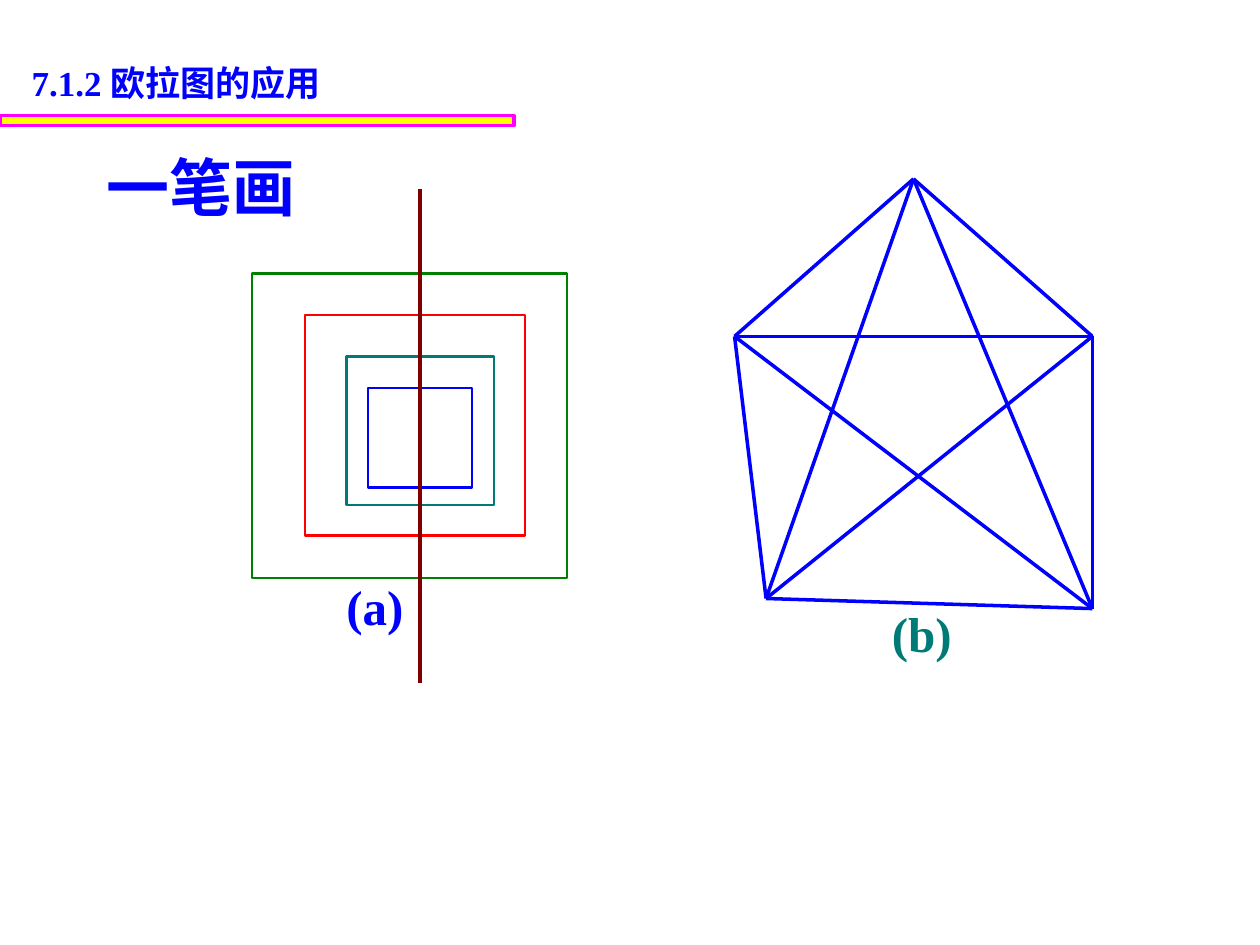
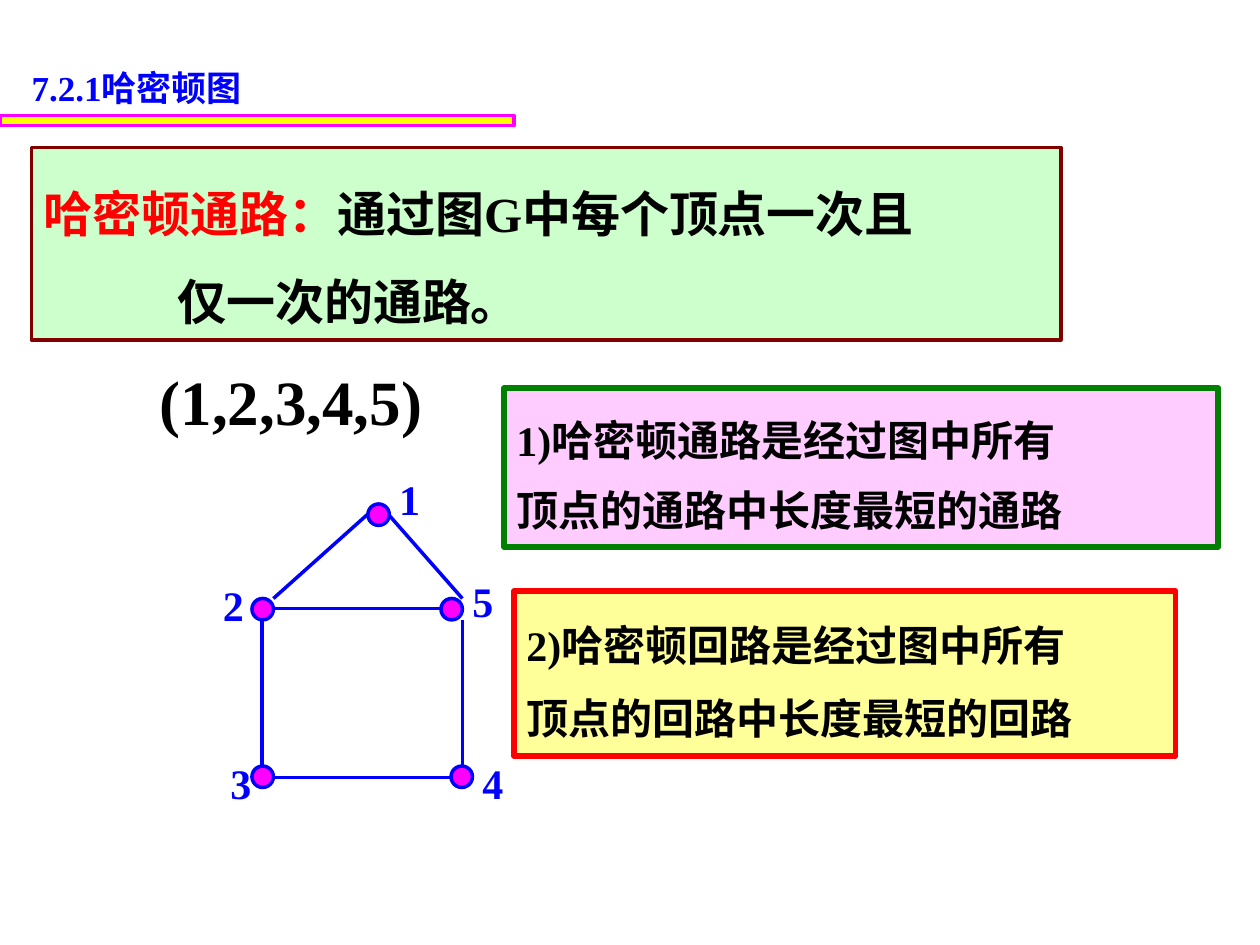
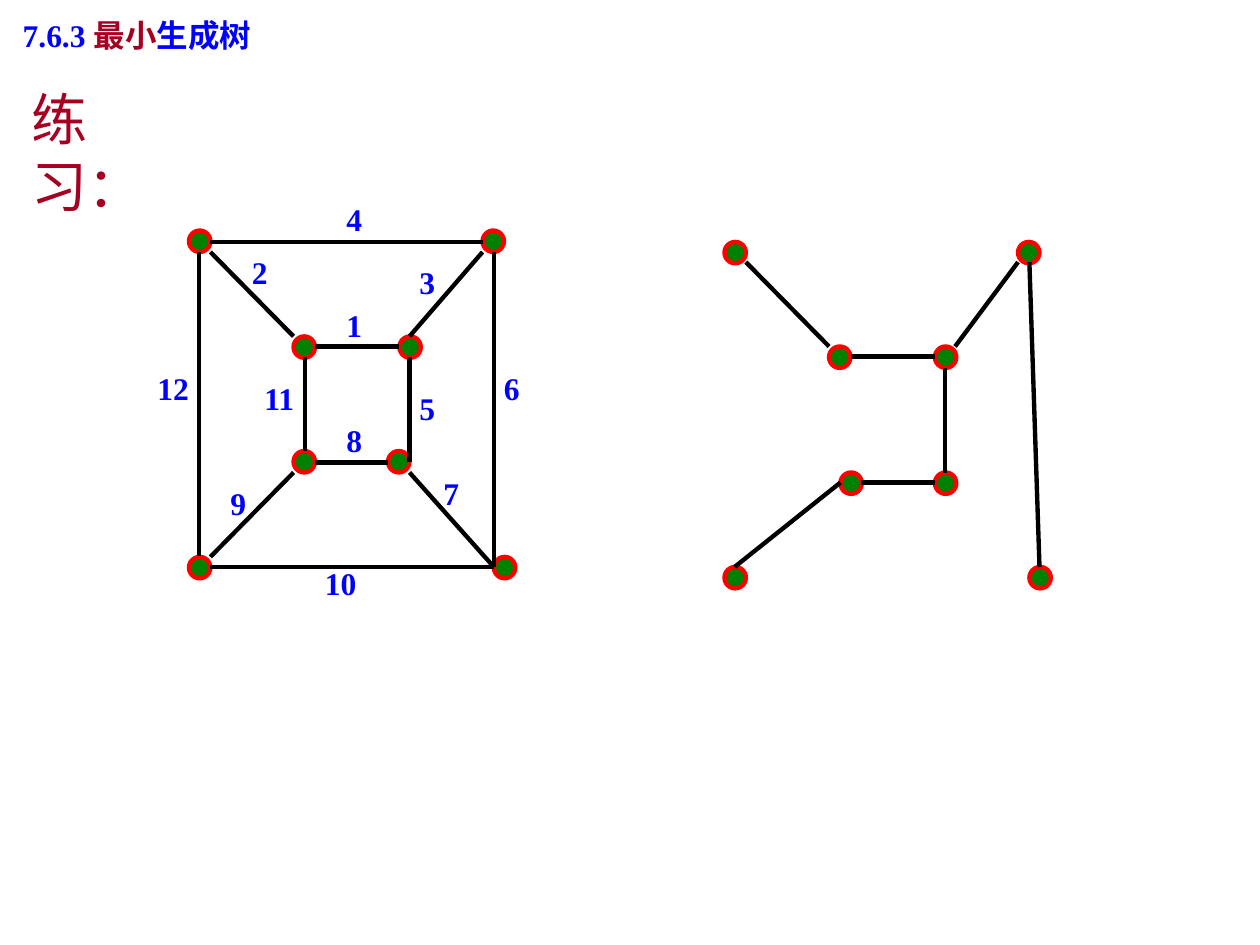
from itertools import combinations

from pptx import Presentation
from pptx.dml.color import RGBColor
from pptx.enum.shapes import MSO_CONNECTOR as LINE, MSO_SHAPE as SHAPE
from pptx.enum.text import MSO_ANCHOR as ANCHOR, MSO_AUTO_SIZE as FIT, PP_ALIGN as ALIGN
from pptx.oxml.ns import qn
from pptx.util import Inches, Pt

HUES = {
    "blue": "0000FF", "red": "FF0000", "green": "008000", "teal": "007A77",
    "maroon": "800000", "wine": "A50021", "black": "000000", "yellow": "FFFF00",
    "magenta": "FF00FF", "mint": "CCFFCC", "pink": "FFCCFF", "cream": "FFFF99",
}
ROMAN, SANS, HAN = "Times New Roman", "Arial", "Noto Sans CJK SC"
DOT = 0.17

# Slide 1: one-stroke drawing. Frames: box, line colour
FRAMES = [
    ((2, 2.17, 2.5, 2.42), "green"),
    ((2.42, 2.5, 1.75, 1.75), "red"),
    ((2.75, 2.83, 1.17, 1.18), "teal"),
    ((2.92, 3.08, 0.83, 0.79), "blue"),
]
AXIS = (3.33, 1.5, 3.33, 5.42)
CORNERS = [(7.25, 1.42), (8.67, 2.67), (8.67, 4.83), (6.08, 4.75), (5.83, 2.67)]

# Slide 2: Hamilton graph. Panels: box, fill, line, width, spacing, paragraphs of (indent, runs)
PANELS = [
    ((0.25, 1.17, 8.17, 1.53), "mint", "maroon", 2, 1.5, [
        (0, [("哈密顿通路：", HAN, "red"), ("通过图", HAN, "black"),
             ("G", ROMAN, "black"), ("中每个顶点一次且", HAN, "black")]),
        (1.06, [("仅一次的通路。", HAN, "black")])]),
    ((4, 3.08, 5.67, 1.26), "pink", "green", 3.25, 1.4, [
        (0, [("1)", ROMAN, "black"), ("哈密顿通路是经过图中所有", SANS, "black")]),
        (0, [("顶点的通路中长度最短的通路", SANS, "black")])]),
    ((4.08, 4.69, 5.25, 1.31), "cream", "red", 3.25, 1.45, [
        (0, [("2)", ROMAN, "black"), ("哈密顿回路是经过图中所有", SANS, "black")]),
        (0, [("顶点的回路中长度最短的回路", SANS, "black")])]),
]
PANEL_SIZES = [28, 24, 24]
HOUSE_DOTS = [(2.92, 4), (2, 4.75), (3.5, 4.75), (2, 6.08), (3.58, 6.08)]
HOUSE_EDGES = [
    (2.17, 4.75, 2.92, 4.08), (2.08, 4.92, 2.08, 6.08), (2.17, 6.17, 3.58, 6.17),
    (3.67, 4.92, 3.67, 6.08), (2.17, 4.83, 3.5, 4.83), (3.08, 4.08, 3.67, 4.75),
]
HOUSE_TAGS = [("1", 3.07, 3.71), ("2", 1.67, 4.55), ("3", 1.73, 5.96),
              ("4", 3.73, 5.96), ("5", 3.65, 4.52)]

# Slide 3: weighted graph and its minimum spanning tree
NET_DOTS = [(1.5, 1.83), (3.83, 1.83), (1.5, 4.42), (3.92, 4.42),
            (2.33, 2.67), (3.17, 2.67), (2.33, 3.58), (3.08, 3.58)]
NET_EDGES = [
    (1.58, 2, 1.58, 4.41), (1.67, 4.5, 3.92, 4.5), (1.67, 1.92, 3.83, 1.92),
    (3.92, 2, 3.92, 4.5), (2.5, 2.75, 3.17, 2.75), (2.42, 2.83, 2.42, 3.58),
    (2.5, 3.67, 3.08, 3.67), (3.25, 2.83, 3.25, 3.67), (1.67, 2, 2.33, 2.67),
    (3.25, 2.67, 3.83, 2), (1.67, 4.42, 2.33, 3.75), (3.25, 3.75, 3.92, 4.5),
]
WEIGHTS = [
    ("4", 2.65, 1.54), ("12", 1.15, 2.88), ("10", 2.48, 4.43), ("6", 3.9, 2.88),
    ("1", 2.65, 2.38), ("5", 3.23, 3.04), ("8", 2.65, 3.29), ("7", 3.42, 3.71),
    ("11", 2, 2.96), ("9", 1.73, 3.79), ("2", 1.9, 1.96), ("3", 3.23, 2.04),
]
TREE_DOTS = [(5.75, 1.92), (8.08, 1.92), (5.75, 4.5), (8.17, 4.5),
             (6.58, 2.75), (7.42, 2.75), (6.67, 3.75), (7.42, 3.75)]
TREE_EDGES = [
    (6.75, 2.83, 7.42, 2.83), (6.58, 2.75, 5.92, 2.08), (7.58, 2.75, 8.08, 2.08),
    (7.5, 2.92, 7.5, 3.75), (8.17, 2.08, 8.25, 4.5), (6.83, 3.83, 7.42, 3.83),
    (6.67, 3.83, 5.83, 4.5),
]


def rgb(hue):
    return RGBColor.from_string(HUES[hue])


def inch(nums):
    return [Inches(n) for n in nums]


def write(para, runs, size, bold=True):
    """Add (text, font, colour) runs to a paragraph."""
    para.alignment = ALIGN.LEFT
    for text, face, hue in runs:
        run = para.add_run()
        run.text = text
        font = run.font
        font.size, font.bold, font.name = Pt(size), bold, face
        font.color.rgb = rgb(hue)


def head(prs, box, runs, size):
    """Start a slide with its section title."""
    slide = prs.slides.add_slide(prs.slide_layouts[5])
    title = slide.shapes.title
    title.left, title.top, title.width, title.height = inch(box)
    frame = title.text_frame
    frame.auto_size, frame.vertical_anchor = FIT.NONE, ANCHOR.MIDDLE
    write(frame.paragraphs[0], runs, size)
    return slide


def shape(slide, kind, box, line, width, fill=None):
    item = slide.shapes.add_shape(kind, *inch(box))
    item.shadow.inherit = False
    if fill:
        item.fill.solid()
        item.fill.fore_color.rgb = rgb(fill)
    else:
        item.fill.background()
    item.line.color.rgb, item.line.width = rgb(line), Pt(width)
    return item


def band(slide):
    shape(slide, SHAPE.RECTANGLE, (0, 0.92, 4.08, 0.08), "magenta", 1.75, "yellow")


def edge(slide, ends, hue, width):
    item = slide.shapes.add_connector(LINE.STRAIGHT, *inch(ends))
    item.line.color.rgb, item.line.width = rgb(hue), Pt(width)
    props = item._element.spPr
    props.append(props.makeelement(qn("a:effectLst"), {}))


def graph(slide, dots, edges, fill, ring, ink, width):
    for x, y in dots:
        shape(slide, SHAPE.OVAL, (x, y, DOT, DOT), ring, width, fill)
    for ends in edges:
        edge(slide, ends, ink, width)


def label(slide, box, text, size, hue="blue", face=ROMAN, bold=True, wrap=False):
    frame = slide.shapes.add_textbox(*inch(box)).text_frame
    frame.word_wrap = wrap
    write(frame.paragraphs[0], [(text, face, hue)], size, bold)


def panel(slide, box, fill, line, width, gap, paras, size):
    frame = shape(slide, SHAPE.RECTANGLE, box, line, width, fill).text_frame
    frame.word_wrap, frame.vertical_anchor = True, ANCHOR.TOP
    for i, (indent, runs) in enumerate(paras):
        para = frame.add_paragraph() if i else frame.paragraphs[0]
        para.line_spacing = gap
        if indent:
            para._p.get_or_add_pPr().set("marL", str(Inches(indent)))
        write(para, runs, size)


def stroke(prs):
    slide = head(prs, (0.15, 0.44, 3.02, 0.43), [("7.1.2 欧拉图的应用", ROMAN, "blue")], 20)
    band(slide)
    label(slide, (0.75, 1.13, 3.5, 0.7), "一笔画", 36, face=SANS, wrap=True)
    for box, hue in FRAMES:
        shape(slide, SHAPE.RECTANGLE, box, hue, 1.25)
    edge(slide, AXIS, "maroon", 2.25)
    label(slide, (2.65, 4.53, 0.65, 0.57), "(a)", 28)
    # Every pair of corners is joined
    for a, b in combinations(CORNERS, 2):
        edge(slide, a + b, "blue", 2)
    label(slide, (6.98, 4.74, 0.68, 0.57), "(b)", 28, "teal")


def house(prs):
    slide = head(prs, (0.15, 0.48, 2.68, 0.43), [("7.2.1哈密顿图", ROMAN, "blue")], 20)
    band(slide)
    graph(slide, HOUSE_DOTS, HOUSE_EDGES, "magenta", "blue", "blue", 2)
    for text, x, y in HOUSE_TAGS:
        label(slide, (x, y, 0.36, 0.5), text, 24)
    label(slide, (1.17, 2.83, 3.43, 0.7), "(1,2,3,4,5)", 36, "black", wrap=True)
    for parts, size in zip(PANELS, PANEL_SIZES):
        panel(slide, *parts, size)


def tree(prs):
    runs = [("7.6.3 ", ROMAN, "blue"), ("最小", HAN, "wine"), ("生成树", HAN, "blue")]
    slide = head(prs, (0.08, 0.08, 3.08, 0.4), runs, 18)
    label(slide, (0.15, 0.62, 1.05, 1.2), "练习：", 32, "wine", SANS, False, True)
    graph(slide, NET_DOTS, NET_EDGES, "green", "red", "black", 2.5)
    for text, x, y in WEIGHTS:
        label(slide, (x, y, 0.19 + 0.13 * len(text), 0.4), text, 18)
    graph(slide, TREE_DOTS, TREE_EDGES, "green", "red", "black", 2.5)


def main():
    prs = Presentation()
    prs.slide_width, prs.slide_height = Inches(10), Inches(7.5)
    for build in (stroke, house, tree):
        build(prs)
    prs.save("out.pptx")


if __name__ == "__main__":
    main()
